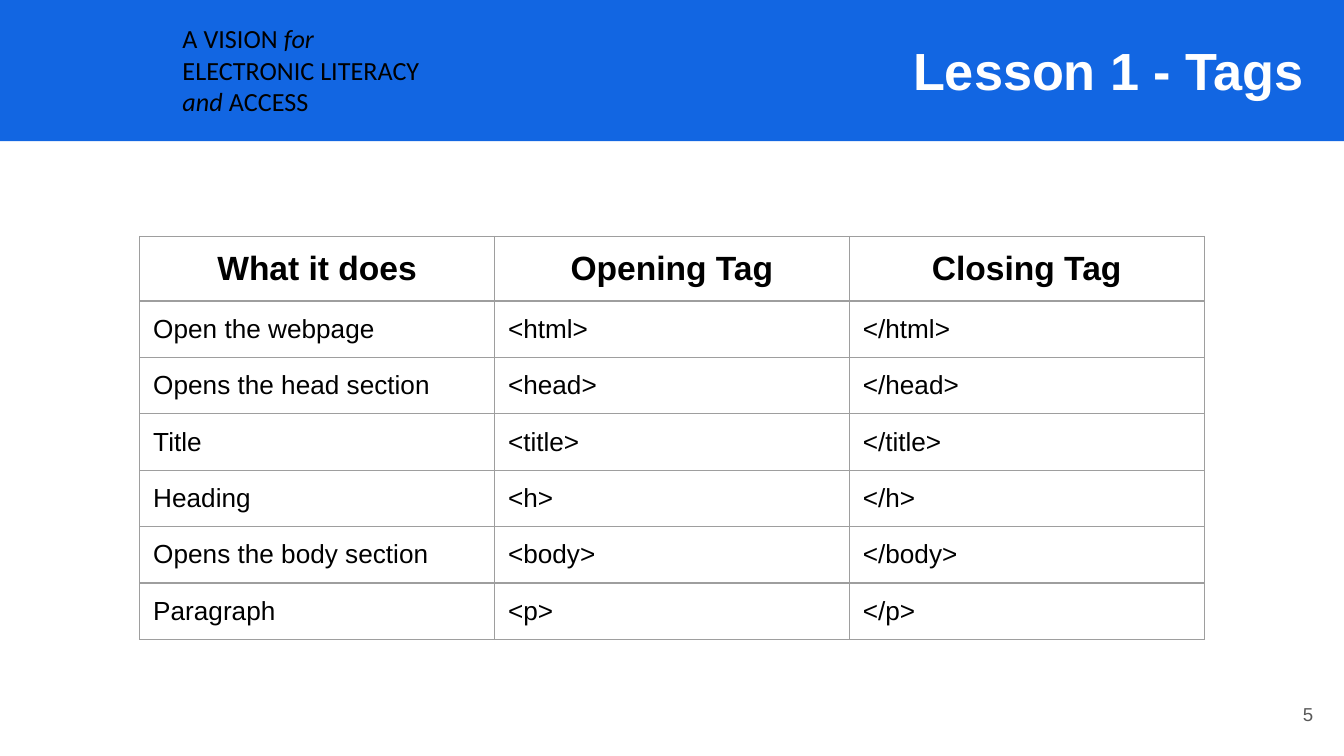
import pptx
import pptx.dml.color
import pptx.enum.shapes
import pptx.enum.text
import pptx.oxml
import pptx.util

Inches = pptx.util.Inches
Pt = pptx.util.Pt
ALIGN = pptx.enum.text.PP_ALIGN
ANCHOR = pptx.enum.text.MSO_ANCHOR

# Content
TITLE = "Lesson 1 - Tags"
PAGE_NUMBER = "5"
SLOGAN = [  # lines of (text, italic)
    [("A VISION ", False), ("for", True)],
    [("ELECTRONIC LITERACY", False)],
    [("and", True), (" ACCESS", False)],
]
HEADINGS = ["What it does", "Opening Tag", "Closing Tag"]
TAGS = [
    ("Open the webpage", "html"),
    ("Opens the head section", "head"),
    ("Title", "title"),
    ("Heading", "h"),
    ("Opens the body section", "body"),
    ("Paragraph", "p"),
]
BLUE, WHITE, BLACK, GREY, BORDER = "1266E2", "FFFFFF", "000000", "595959", "9E9E9E"
SLIDE_WIDTH = 10
SLIDE_HEIGHT = SLIDE_WIDTH * 9 / 16
COLUMN_WIDTH, ROW_HEIGHT, INSET = 2.64, 0.42, 0.1


def color(hex_value):
    return pptx.dml.color.RGBColor.from_string(hex_value)


def add_run(paragraph, text, size, hex_value, font="Arial", bold=False, italic=False):
    run = paragraph.add_run()
    run.text = text
    run.font.name, run.font.size = font, Pt(size)
    run.font.bold, run.font.italic = bold, italic
    run.font.color.rgb = color(hex_value)


def set_insets(holder):
    holder.margin_left = holder.margin_right = Inches(INSET)
    holder.margin_top = holder.margin_bottom = Inches(INSET)


def prepare_frame(shape, anchor):
    frame = shape.text_frame
    frame.word_wrap = True
    frame.auto_size = pptx.enum.text.MSO_AUTO_SIZE.NONE
    frame.vertical_anchor = anchor
    set_insets(frame)
    return frame


def add_borders(cell):
    properties = cell._tc.get_or_add_tcPr()
    for position, side in enumerate(("lnL", "lnR", "lnT", "lnB")):
        line = pptx.oxml.parse_xml(
            f'<a:{side} xmlns:a="http://schemas.openxmlformats.org/drawingml/2006/main" '
            f'w="{Pt(0.75)}"><a:solidFill><a:srgbClr val="{BORDER}"/></a:solidFill></a:{side}>'
        )
        properties.insert(position, line)


deck = pptx.Presentation()
deck.slide_width, deck.slide_height = Inches(SLIDE_WIDTH), Inches(SLIDE_HEIGHT)
slide = deck.slides.add_slide(deck.slide_layouts[5])
shapes = slide.shapes

# Title
title = shapes.title
title.left, title.top = Inches(3.96), Inches(0.2)
title.width, title.height = Inches(5.84), Inches(0.64)
title_line = prepare_frame(title, ANCHOR.MIDDLE).paragraphs[0]
title_line.alignment = ALIGN.RIGHT
add_run(title_line, TITLE, 28, WHITE, bold=True)

# Header band, behind the title
band = shapes.add_shape(pptx.enum.shapes.MSO_SHAPE.RECTANGLE,
                        0, Inches(-0.02), deck.slide_width, Inches(1.07))
band.shadow.inherit = False
band.fill.solid()
band.fill.fore_color.rgb = color(BLUE)
band.line.fill.background()
title.element.addprevious(band.element)

# Slogan
slogan = shapes.add_textbox(Inches(1.26), Inches(0.07), Inches(2.94), Inches(0.91))
slogan_frame = prepare_frame(slogan, ANCHOR.TOP)
for index, line in enumerate(SLOGAN):
    paragraph = slogan_frame.add_paragraph() if index else slogan_frame.paragraphs[0]
    for text, italic in line:
        add_run(paragraph, text, 14, BLACK, font="Calibri", italic=italic)

# Page number
page = shapes.add_textbox(Inches(9.27), Inches(5.1), Inches(0.6), Inches(0.43))
page_line = prepare_frame(page, ANCHOR.MIDDLE).paragraphs[0]
page_line.alignment = ALIGN.RIGHT
add_run(page_line, PAGE_NUMBER, 10, GREY)

# Table of tags
rows = [HEADINGS] + [(purpose, f"<{tag}>", f"</{tag}>") for purpose, tag in TAGS]
tag_table = shapes.add_table(
    len(rows), len(HEADINGS), Inches(1.04), Inches(1.76),
    Inches(COLUMN_WIDTH * len(HEADINGS)), Inches(ROW_HEIGHT * len(rows))).table
tag_table.first_row = tag_table.horz_banding = False
for column in tag_table.columns:
    column.width = Inches(COLUMN_WIDTH)
for row_index, row in enumerate(rows):
    tag_table.rows[row_index].height = Inches(ROW_HEIGHT)
    heading = row_index == 0
    for column_index, text in enumerate(row):
        cell = tag_table.cell(row_index, column_index)
        cell.fill.background()
        set_insets(cell)
        add_borders(cell)
        paragraph = cell.text_frame.paragraphs[0]
        paragraph.alignment = ALIGN.CENTER if heading else ALIGN.LEFT
        add_run(paragraph, text, 18 if heading else 14, BLACK, bold=heading)

deck.save("out.pptx")
